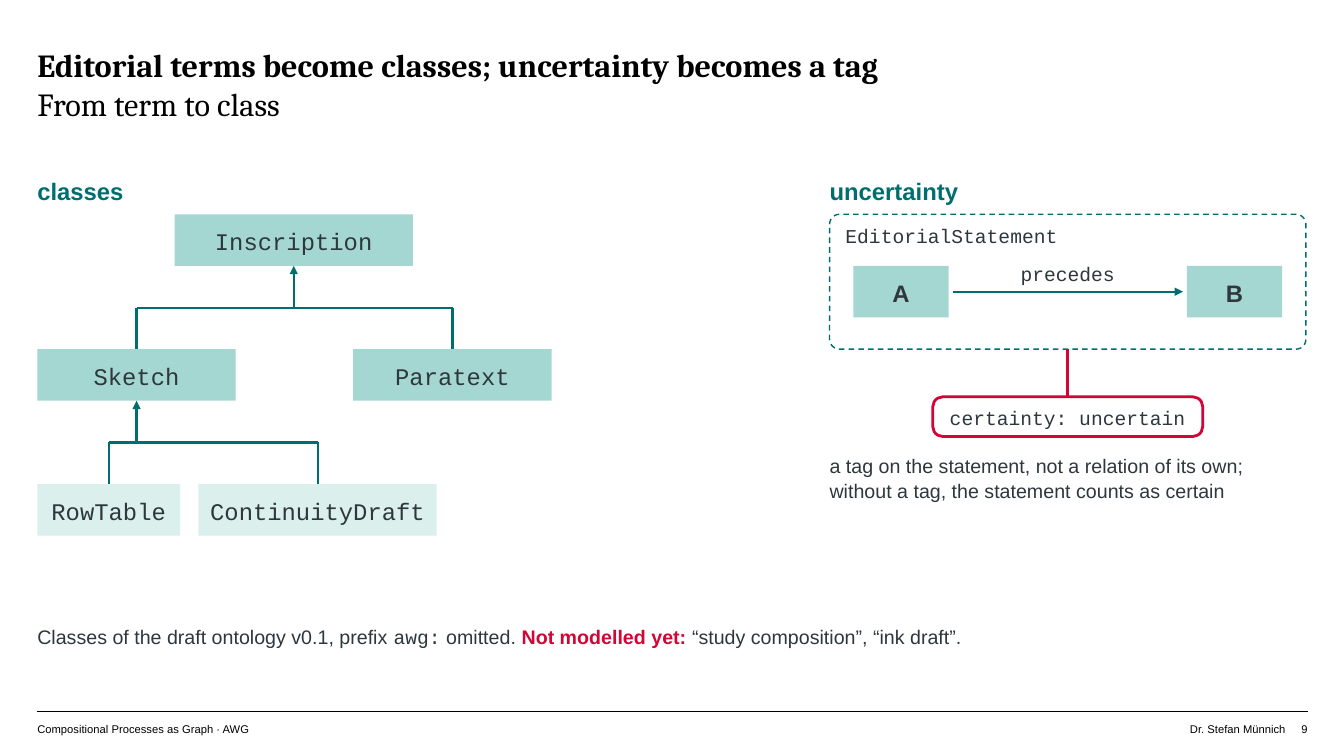
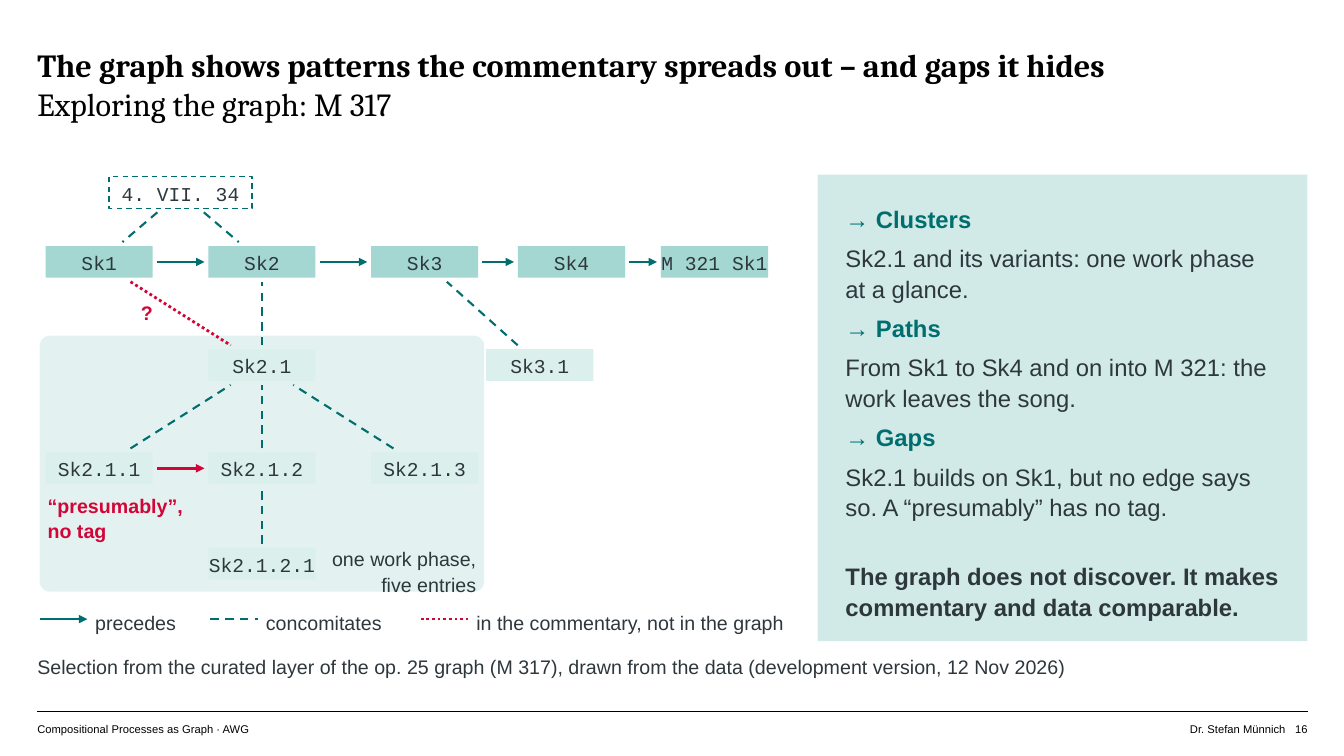
from lxml import etree
from pptx import Presentation, util as u
from pptx.dml.color import RGBColor
from pptx.enum import dml, shapes, text
from pptx.oxml import ns


class Theme:
    ink, black = "2D373C", "000000"
    teal, red = "006E6E", "D20537"
    mint, pale = "A5D7D2", "DBEFED"
    sans, serif, mono = "Arial", "Cambria", "Courier New"
    title, large, body, small = 23, 17, 14, 8
    leading = {23: 28, 17: 22, 14: 18, 8: None}
    dash, dots = dml.MSO_LINE.DASH, dml.MSO_LINE.ROUND_DOT
    rect, rounded = shapes.MSO_SHAPE.RECTANGLE, shapes.MSO_SHAPE.ROUNDED_RECTANGLE
    left, center, right = text.PP_ALIGN.LEFT, text.PP_ALIGN.CENTER, text.PP_ALIGN.RIGHT


def block(slide, area, words="", size=Theme.body, font=Theme.sans, color=Theme.ink,
          bold=False, align=Theme.left, preset=None, fill=None, alpha=None,
          line=None, weight=1, dash=None, radius=None):
    box = [u.Mm(length) for length in area]
    if preset is None:
        shape = slide.shapes.add_textbox(*box)
    else:
        shape = slide.shapes.add_shape(preset, *box)
        shape.shadow.inherit = False
        if radius is not None:
            shape.adjustments[0] = radius
        if fill:
            shape.fill.solid()
            shape.fill.fore_color.rgb = RGBColor.from_string(fill)
        else:
            shape.fill.background()
        if alpha:
            tint = shape.fill._xPr.find(".//" + ns.qn("a:srgbClr"))
            etree.SubElement(tint, ns.qn("a:alpha"), val=str(alpha * 1000))
        if line:
            shape.line.color.rgb = RGBColor.from_string(line)
            shape.line.width = u.Pt(weight)
            shape.line.dash_style = dash
        else:
            shape.line.fill.background()
    frame = shape.text_frame
    frame.word_wrap = True
    frame.margin_left = frame.margin_right = frame.margin_top = frame.margin_bottom = 0
    frame.vertical_anchor = text.MSO_ANCHOR.MIDDLE if preset else text.MSO_ANCHOR.TOP
    frame.text = words
    for paragraph in frame.paragraphs:
        paragraph.alignment = align
        if Theme.leading[size]:
            paragraph.line_spacing = u.Pt(Theme.leading[size])
        for run in paragraph.runs:
            run.font.size, run.font.name, run.font.bold = u.Pt(size), font, bold
            run.font.color.rgb = RGBColor.from_string(color)
    return shape


def edge(slide, x1, y1, x2, y2, color=Theme.teal, weight=1.5, dash=None, arrow=False):
    ends = [u.Mm(length) for length in (x1, y1, x2, y2)]
    link = slide.shapes.add_connector(shapes.MSO_CONNECTOR.STRAIGHT, *ends)
    link.line.color.rgb = RGBColor.from_string(color)
    link.line.width = u.Pt(weight)
    link.line.dash_style = dash
    if arrow:
        etree.SubElement(link.line._get_or_add_ln(), ns.qn("a:tailEnd"), type="triangle")
    etree.SubElement(link._element.spPr, ns.qn("a:effectLst"))


deck = Presentation()
deck.slide_width, deck.slide_height = u.Inches(13.33), u.Inches(7.5)

MARGIN, WIDTH = 9.4, 320
EDGE = MARGIN + WIDTH
TOP = 44
FOOT = 181.9

headings = [
    ("Editorial terms become classes; uncertainty becomes a tag", "From term to class", "9"),
    ("The graph shows patterns the commentary spreads out – and gaps it hides",
     "Exploring the graph: M 317", "16"),
]
slides = []
for claim, topic, number in headings:
    slide = deck.slides.add_slide(deck.slide_layouts[6])
    slides.append(slide)
    edge(slide, MARGIN, 179.3, EDGE, 179.3, Theme.black, 0.25)
    title = block(slide, (MARGIN, 11.2, WIDTH, 20), f"{claim}\v{topic}",
                  Theme.title, Theme.serif, Theme.black, True)
    title.text_frame.paragraphs[0].runs[1].font.bold = False
    for x, width, words, align in [
        (MARGIN, 210, "Compositional Processes as Graph · AWG", Theme.left),
        (253.3, 70.6, "Dr. Stefan Münnich", Theme.right),
        (EDGE - 5.4, 5.4, number, Theme.right),
    ]:
        block(slide, (x, FOOT, width, 4.6), words, Theme.small, color=Theme.black, align=align)

terms, graph = slides

SIDE, SIDE_WIDTH = 209, 120
for x, width, heading in [(MARGIN, 180, "classes"), (SIDE, SIDE_WIDTH, "uncertainty")]:
    block(terms, (x, TOP, width, 6), heading, Theme.large, color=Theme.teal, bold=True)

CLASS_HEIGHT, CLASS_STEP = 13, 34
class_rows = [TOP + 10 + CLASS_STEP * row for row in range(3)]
classes = {
    "Inscription": (44, 0, 60, Theme.mint),
    "Sketch": (MARGIN, 1, 50, Theme.mint),
    "Paratext": (89, 1, 50, Theme.mint),
    "RowTable": (MARGIN, 2, 36, Theme.pale),
    "ContinuityDraft": (50, 2, 60, Theme.pale),
}
class_center = {}
for name, (x, row, width, fill) in classes.items():
    class_center[name] = x + width / 2
    block(terms, (x, class_rows[row], width, CLASS_HEIGHT), name, Theme.large, Theme.mono,
          align=Theme.center, preset=Theme.rect, fill=fill)

for parent, children in [("Inscription", ("Sketch", "Paratext")),
                         ("Sketch", ("RowTable", "ContinuityDraft"))]:
    row = classes[parent][1]
    bottom, below = class_rows[row] + CLASS_HEIGHT, class_rows[row + 1]
    fork = (bottom + below) / 2
    child_centers = [class_center[child] for child in children]
    edge(terms, class_center[parent], fork, class_center[parent], bottom, arrow=True)
    edge(terms, child_centers[0], fork, child_centers[1], fork)
    for x in child_centers:
        edge(terms, x, fork, x, below)

block(terms, (SIDE, class_rows[0], SIDE_WIDTH, CLASS_STEP), preset=Theme.rounded,
      line=Theme.teal, dash=Theme.dash, radius=0.074)
block(terms, (SIDE + 4, 56, 80, 5), "EditorialStatement", font=Theme.mono)
for x, name in [(SIDE + 6, "A"), (SIDE + SIDE_WIDTH - 30, "B")]:
    block(terms, (x, 67, 24, CLASS_HEIGHT), name, Theme.large, bold=True,
          align=Theme.center, preset=Theme.rect, fill=Theme.mint)
edge(terms, 240, 73.5, 298, 73.5, arrow=True)
block(terms, (240, 65.5, 58, 6), "precedes", font=Theme.mono, align=Theme.center)

side_center = SIDE + SIDE_WIDTH / 2
edge(terms, side_center, 88, side_center, 100, Theme.red, 2)
block(terms, (side_center - 34, 100, 68, 10), "certainty: uncertain", font=Theme.mono,
      align=Theme.center, preset=Theme.rounded, line=Theme.red, weight=2, radius=0.25)
block(terms, (SIDE, 114, SIDE_WIDTH, 14),
      "a tag on the statement, not a relation of its own;\n"
      "without a tag, the statement counts as certain")

status = block(terms, (MARGIN, 157, WIDTH, 6), "Classes of the draft ontology v0.1, prefix ")
for words, font, color, bold in [
    ("awg:", Theme.mono, Theme.ink, False),
    (" omitted. ", Theme.sans, Theme.ink, False),
    ("Not modelled yet: ", Theme.sans, Theme.red, True),
    ("“study composition”, “ink draft”.", Theme.sans, Theme.ink, False),
]:
    run = status.text_frame.paragraphs[0].add_run()
    run.text = words
    run.font.size, run.font.name, run.font.bold = u.Pt(Theme.body), font, bold
    run.font.color.rgb = RGBColor.from_string(color)

block(graph, (10, 84.6, 112, 64.5), preset=Theme.rounded, fill=Theme.mint, alpha=30, radius=0.04)
block(graph, (80, 137.5, 40, 10), "one work phase,\nfive entries", align=Theme.right)

NODE_WIDTH, NODE_HEIGHT, GAP = 27, 8, 1
columns = [25, 66, 107, 144, 180]
rows = [48.5, 66, 92, 118, 142]
DATE = "4. VII. 34"
nodes = {
    DATE: ((columns[0] + columns[1]) / 2, rows[0], None),
    "Sk1": (columns[0], rows[1], Theme.mint),
    "Sk2": (columns[1], rows[1], Theme.mint),
    "Sk3": (columns[2], rows[1], Theme.mint),
    "Sk4": (columns[3], rows[1], Theme.mint),
    "M 321 Sk1": (columns[4], rows[1], Theme.mint),
    "Sk3.1": (136, rows[2], Theme.pale),
    "Sk2.1": (columns[1], rows[2], Theme.pale),
    "Sk2.1.1": (columns[0], rows[3], Theme.pale),
    "Sk2.1.2": (columns[1], rows[3], Theme.pale),
    "Sk2.1.3": (columns[2], rows[3], Theme.pale),
    "Sk2.1.2.1": (columns[1], rows[4], Theme.pale),
}
precedes = dict(arrow=True)
concomitates = dict(dash=Theme.dash)
unrecorded = dict(color=Theme.red, weight=2, dash=Theme.dots)
presumed = dict(color=Theme.red, weight=2, arrow=True)
relations = [
    ("Sk1", "Sk2", precedes),
    ("Sk2", "Sk3", precedes),
    ("Sk3", "Sk4", precedes),
    ("Sk4", "M 321 Sk1", precedes),
    (DATE, "Sk1", concomitates),
    (DATE, "Sk2", concomitates),
    ("Sk2.1", "Sk2", concomitates),
    ("Sk3.1", "Sk3", concomitates),
    ("Sk2.1.1", "Sk2.1", concomitates),
    ("Sk2.1.2", "Sk2.1", concomitates),
    ("Sk2.1.3", "Sk2.1", concomitates),
    ("Sk2.1.2.1", "Sk2.1.2", concomitates),
    ("Sk2.1.1", "Sk2.1.2", presumed),
    ("Sk1", "Sk2.1", unrecorded),
]
for source, target, style in relations:
    (x1, y1, _), (x2, y2, _) = nodes[source], nodes[target]
    dx, dy = x2 - x1, y2 - y1
    trim = (NODE_HEIGHT / 2 + GAP) / abs(dy) if dy else (NODE_WIDTH / 2 + GAP) / abs(dx)
    edge(graph, x1 + trim * dx, y1 + trim * dy, x2 - trim * dx, y2 - trim * dy, **style)

for name, (x, y, fill) in nodes.items():
    width = NODE_WIDTH if fill else 36
    block(graph, (x - width / 2, y - NODE_HEIGHT / 2, width, NODE_HEIGHT), name,
          font=Theme.mono, align=Theme.center, preset=Theme.rect, fill=fill,
          line=None if fill else Theme.teal, dash=Theme.dash)

for area, remark in [((35.5, 75.5, 6, 6), "?"), ((12, 124, 39, 10), "“presumably”,\nno tag")]:
    block(graph, area, remark, color=Theme.red, bold=True)

for x, width, meaning, style in [
    (10, 24, "precedes", precedes),
    (53, 34, "concomitates", concomitates),
    (106, 84, "in the commentary, not in the graph", unrecorded),
]:
    edge(graph, x, 156, x + 12, 156, **style)
    block(graph, (x + 14, 153.5, width, 5), meaning)

PANEL, PAD = 206, 7
panel_width = EDGE - PANEL
block(graph, (PANEL, TOP, panel_width, 117.6), preset=Theme.rect, fill=Theme.mint, alpha=50)
findings = block(
    graph, (PANEL + PAD, TOP + PAD, panel_width - 2 * PAD, 80),
    "→ Clusters\nSk2.1 and its variants: one work phase at a glance.\n"
    "→ Paths\nFrom Sk1 to Sk4 and on into M 321: the work leaves the song.\n"
    "→ Gaps\nSk2.1 builds on Sk1, but no edge says so. A “presumably” has no tag.",
    Theme.large)
for index, paragraph in enumerate(findings.text_frame.paragraphs):
    paragraph.space_after = u.Pt(6)
    if index % 2 == 0:
        paragraph.runs[0].font.bold = True
        paragraph.runs[0].font.color.rgb = RGBColor.from_string(Theme.teal)
block(graph, (PANEL + PAD, 141, panel_width - 2 * PAD, 16),
      "The graph does not discover. It makes commentary and data comparable.",
      Theme.large, bold=True)
block(graph, (MARGIN, 164.6, WIDTH, 6),
      "Selection from the curated layer of the op. 25 graph (M 317), "
      "drawn from the data (development version, 12 Nov 2026)")

deck.save("out.pptx")
